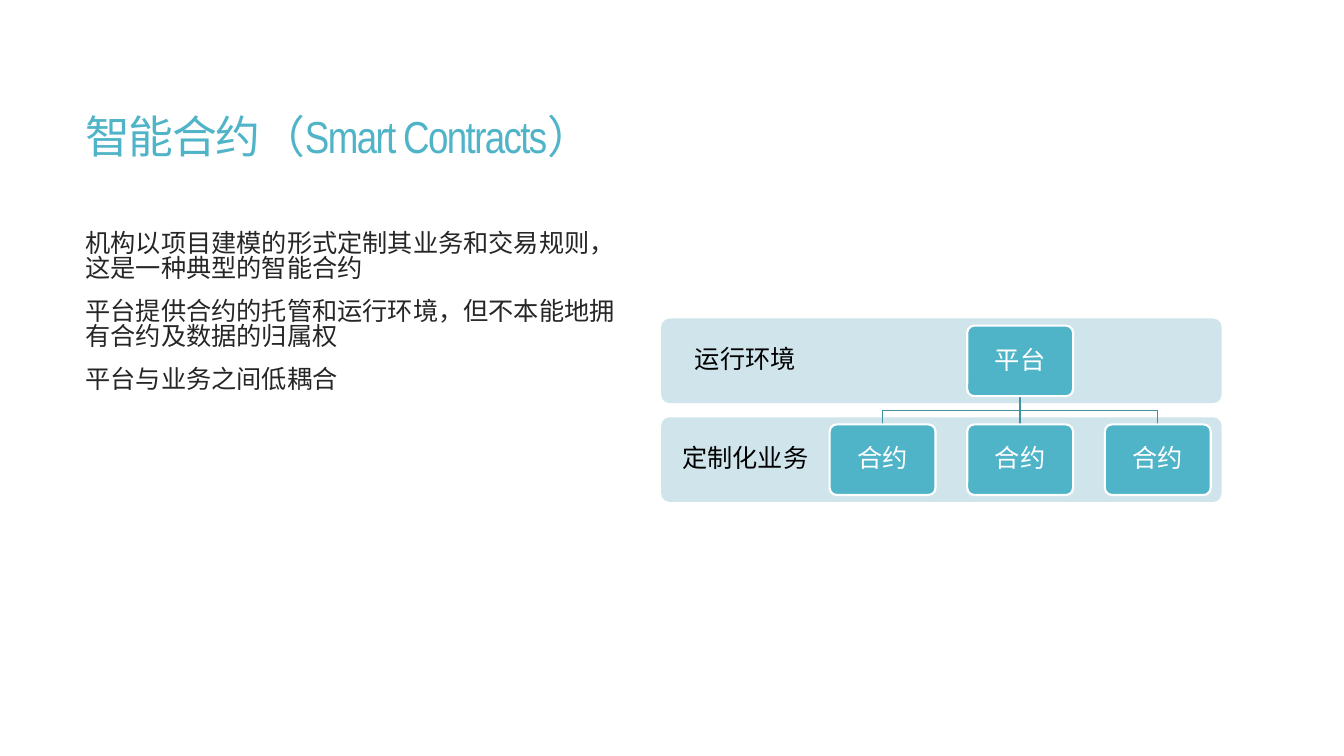
from lxml import etree
from pptx import Presentation
from pptx import util as u
from pptx.dml.color import RGBColor
from pptx.enum import shapes, text
from pptx.oxml.ns import qn

CHINESE = "Noto Sans CJK SC"
TEAL, PALE, LINE = "50B4C8", "D0E5EB", "4090A0"
BAND_LEFT, BAND_TOP, BAND_WIDTH, BAND_HEIGHT = 472.3, 227.5, 400.3, 60.5
NODE_LEFT, NODE_TOP, NODE_WIDTH, NODE_HEIGHT = 592.6, 232.6, 75.6, 50.4
COLUMN_STEP, ROW_STEP = 98.3, 70.6


def color(hex_value):
    return RGBColor.from_string(hex_value)


def add_run(paragraph, content, size=18, fill="000000", font=CHINESE, tracking=None):
    run = paragraph.add_run()
    run.text = content
    run.font.size = u.Pt(size)
    run.font.name = font
    run.font.color.rgb = color(fill)
    properties = run.font._element
    etree.SubElement(properties, qn("a:ea")).set("typeface", CHINESE)
    if tracking is not None:
        properties.set("spc", str(round(tracking * 100)))


def write_text(shape, paragraphs, align=text.PP_ALIGN.LEFT, anchor=text.MSO_ANCHOR.MIDDLE,
               spacing=0.9, before=0, inset=(7.2, 3.6), **run_format):
    frame = shape.text_frame
    frame.word_wrap = True
    frame.auto_size = text.MSO_AUTO_SIZE.NONE
    frame.vertical_anchor = anchor
    frame.margin_left = frame.margin_right = u.Pt(inset[0])
    frame.margin_top = frame.margin_bottom = u.Pt(inset[1])
    for index, content in enumerate(paragraphs):
        paragraph = frame.add_paragraph() if index else frame.paragraphs[0]
        paragraph.alignment = align
        paragraph.line_spacing = spacing
        paragraph.space_before = u.Pt(before if index else 0)
        add_run(paragraph, content, **run_format)
    return frame


def add_text_box(slide, left, top, width, height, paragraphs, **text_format):
    box = slide.shapes.add_textbox(u.Pt(left), u.Pt(top), u.Pt(width), u.Pt(height))
    write_text(box, paragraphs, **text_format)


def add_rounded(slide, left, top, width, height, fill, outline=None):
    shape = slide.shapes.add_shape(
        shapes.MSO_SHAPE.ROUNDED_RECTANGLE, u.Pt(left), u.Pt(top), u.Pt(width), u.Pt(height))
    shape.adjustments[0] = 0.1
    shape.shadow.inherit = False
    shape.fill.solid()
    shape.fill.fore_color.rgb = color(fill)
    if outline:
        shape.line.color.rgb = color(outline)
        shape.line.width = u.Pt(1.5)
    else:
        shape.line.fill.background()
    return shape


def add_band(slide, row, label):
    top = BAND_TOP + row * ROW_STEP
    add_rounded(slide, BAND_LEFT, top, BAND_WIDTH, BAND_HEIGHT, PALE)
    add_text_box(slide, BAND_LEFT, top, 120.2, BAND_HEIGHT, [label],
                 align=text.PP_ALIGN.CENTER, inset=(10, 10))


def add_node(slide, column, row, label):
    node = add_rounded(slide, NODE_LEFT + column * COLUMN_STEP, NODE_TOP + row * ROW_STEP,
                       NODE_WIDTH, NODE_HEIGHT, TEAL, "FFFFFF")
    write_text(node, [label], align=text.PP_ALIGN.CENTER, inset=(5, 5), fill="FFFFFF")


def style_line(shape):
    shape.line.color.rgb = color(LINE)
    shape.line.width = u.Pt(1)


def add_branch(slide, column):
    start_x = NODE_LEFT + COLUMN_STEP + NODE_WIDTH / 2
    end_x = NODE_LEFT + column * COLUMN_STEP + NODE_WIDTH / 2
    start_y, end_y = NODE_TOP + NODE_HEIGHT, NODE_TOP + ROW_STEP
    middle_y = (start_y + end_y) / 2
    if column == 1:
        branch = slide.shapes.add_connector(
            shapes.MSO_CONNECTOR.STRAIGHT, u.Pt(start_x), u.Pt(start_y), u.Pt(end_x), u.Pt(end_y))
        etree.SubElement(branch._element.spPr, qn("a:effectLst"))
    else:
        builder = slide.shapes.build_freeform(u.Pt(start_x), u.Pt(start_y))
        corners = [(start_x, middle_y), (end_x, middle_y), (end_x, end_y)]
        builder.add_line_segments([(u.Pt(x), u.Pt(y)) for x, y in corners], close=False)
        branch = builder.convert_to_shape()
        branch.shadow.inherit = False
        branch.fill.background()
    style_line(branch)


def add_title(slide):
    title = slide.shapes.title
    title.left, title.top, title.width, title.height = map(u.Pt, (54, 54, 818.6, 91.4))
    title_format = {"size": 32, "fill": TEAL, "tracking": -1.2}
    frame = write_text(title, ["智能合约"], spacing=0.85, **title_format)
    add_run(frame.paragraphs[0], "（Smart Contracts）", font="Arial Narrow", **title_format)


def main():
    presentation = Presentation()
    presentation.slide_width, presentation.slide_height = u.Pt(960), u.Pt(540)
    slide = presentation.slides.add_slide(presentation.slide_layouts[5])
    add_title(slide)
    add_text_box(slide, 54, 162.7, 401, 260.6, [
        "机构以项目建模的形式定制其业务和交易规则，这是一种典型的智能合约",
        "平台提供合约的托管和运行环境，但不本能地拥有合约及数据的归属权",
        "平台与业务之间低耦合",
    ], anchor=text.MSO_ANCHOR.TOP, spacing=0.82, before=13, fill="262626")
    for row, label in enumerate(["运行环境", "定制化业务"]):
        add_band(slide, row, label)
    for column in range(3):
        add_branch(slide, column)
        add_node(slide, column, 1, "合约")
    add_node(slide, 1, 0, "平台")
    presentation.save("out.pptx")


if __name__ == "__main__":
    main()
